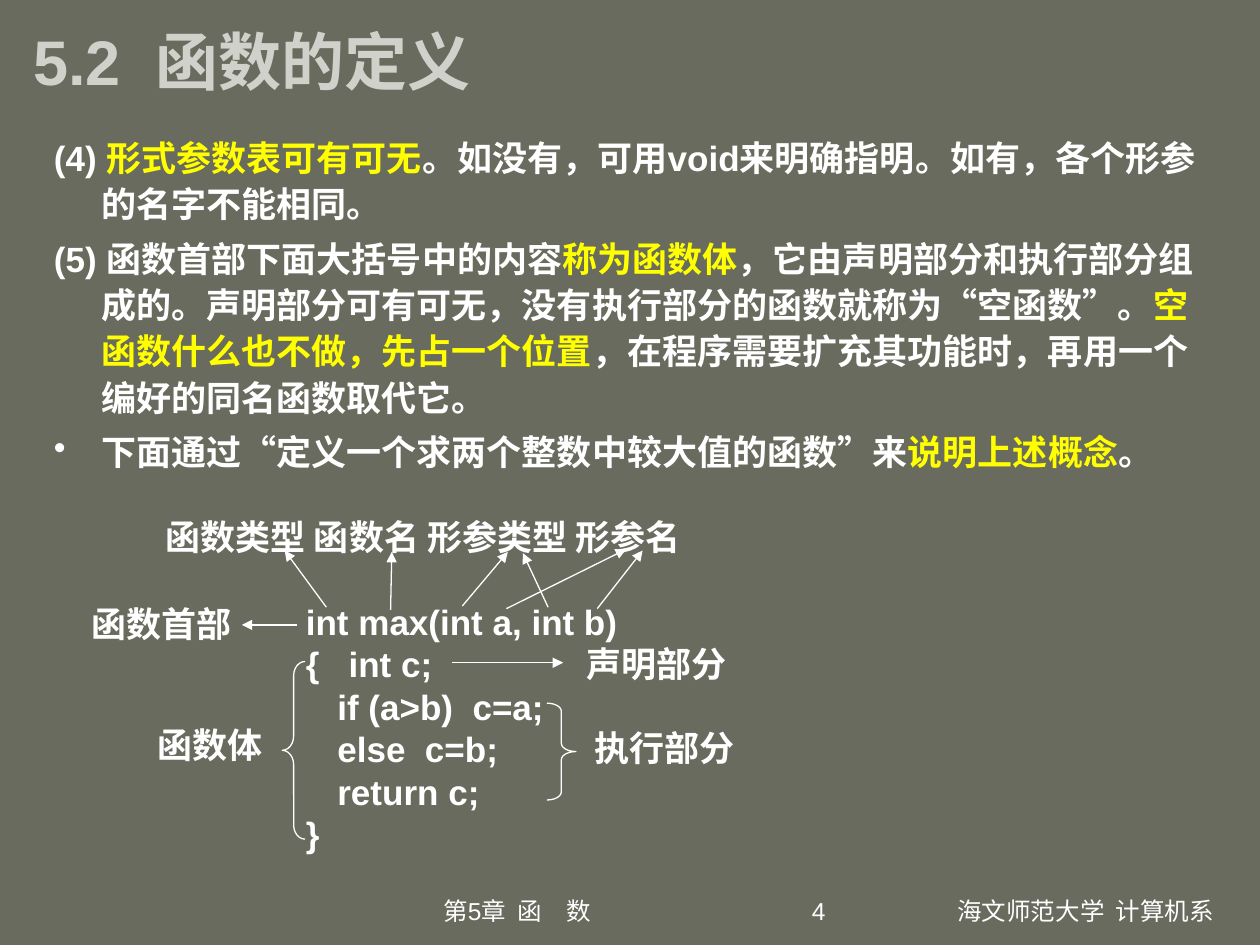
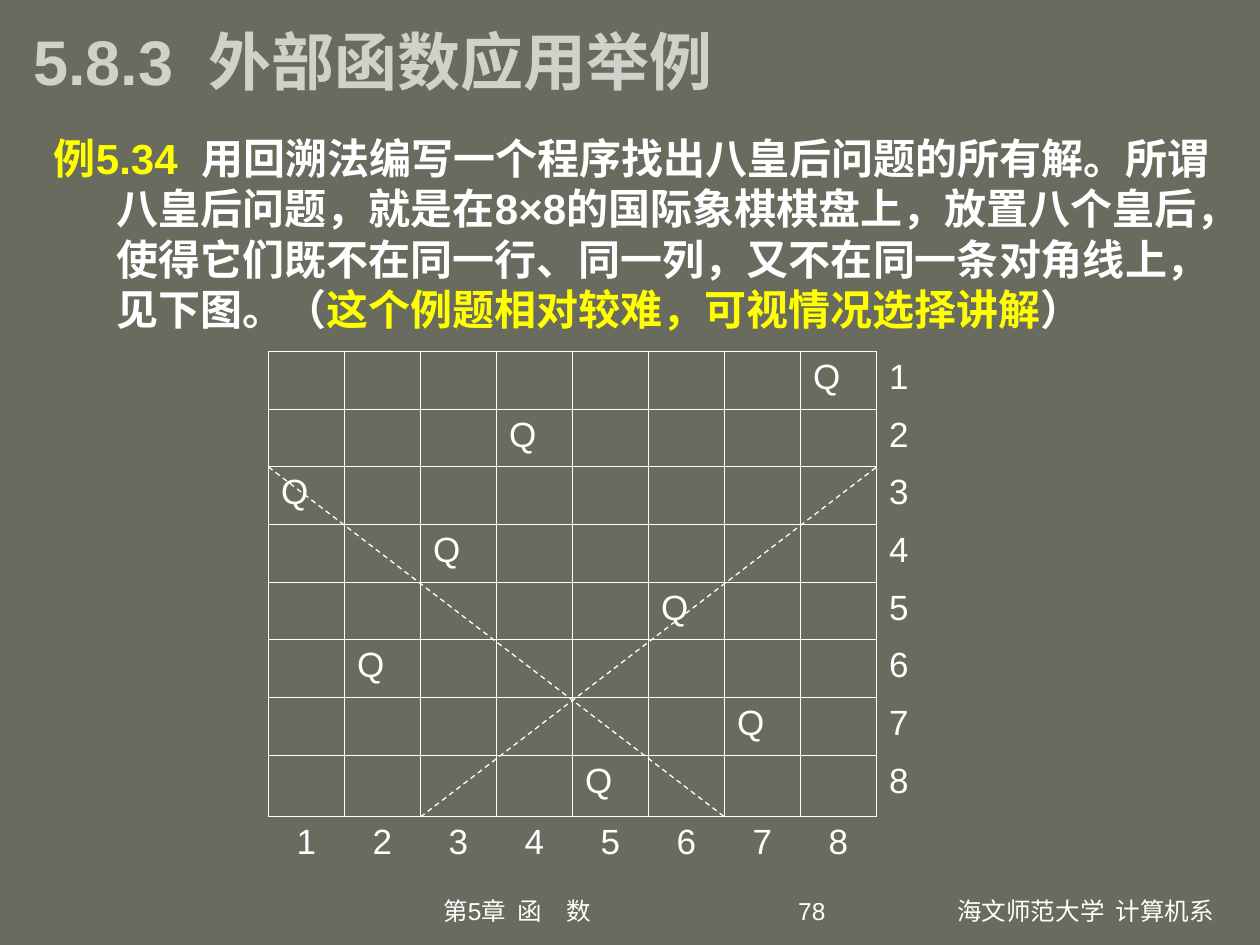
from dataclasses import dataclass

from lxml import etree
from pptx import Presentation
from pptx.dml.color import RGBColor
from pptx.enum.dml import MSO_LINE
from pptx.enum.shapes import MSO_CONNECTOR, MSO_SHAPE
from pptx.enum.text import MSO_ANCHOR, PP_ALIGN
from pptx.oxml.ns import qn
from pptx.util import Pt


@dataclass(frozen=True)
class Theme:
    font: str = "Arial"
    background: RGBColor = RGBColor(0x68, 0x6B, 0x5D)
    title: RGBColor = RGBColor(0xD1, 0xD1, 0xCB)
    ink: RGBColor = RGBColor(0xFF, 0xFF, 0xFF)
    accent: RGBColor = RGBColor(0xFF, 0xFF, 0x00)
    title_size: int = 36
    example_size: int = 24
    body_size: int = 20
    footer_size: int = 14
    line: float = 0.75
    grid: float = 0.45


THEME = Theme()
TITLE_BOX = (12, 0, 648, 68.4)
BODY_BOX = (23.76, 72, 678.24, 215)
DIAGRAM_ORIGIN = (45, 295)
BOARD_ORIGIN = (153.4, 200.9)
NO_GRID_STYLE = "{2D5ABB26-0587-4C30-8999-92F81FD0307C}"


def write(frame, paragraphs, size=THEME.body_size, color=THEME.ink, bold=False,
          align=PP_ALIGN.LEFT, spacing=None, after=0, hang=0, margins=None, bullet=False):
    """Fill a text frame; parts between bars take the accent colour."""
    frame.word_wrap = True
    for number, content in enumerate(paragraphs):
        paragraph = frame.paragraphs[0] if number == 0 else frame.add_paragraph()
        paragraph.alignment = align
        paragraph.space_after = Pt(after)
        if spacing:
            paragraph.line_spacing = spacing
        properties = paragraph._p.get_or_add_pPr()
        properties.set("marL", str(Pt(margins[number] if margins else hang)))
        properties.set("indent", str(-Pt(hang)))
        if bullet and number == len(paragraphs) - 1:
            etree.SubElement(properties, qn("a:buChar")).set("char", "•")
        for part, words in enumerate(content.split("|")):
            if words:
                run = paragraph.add_run()
                run.text = words
                run.font.name = THEME.font
                run.font.size = Pt(size)
                run.font.bold = bold
                run.font.color.rgb = THEME.accent if part % 2 else color


def add_text(slide, box, paragraphs, anchor=MSO_ANCHOR.TOP, **text_format):
    frame = slide.shapes.add_textbox(*map(Pt, box)).text_frame
    frame.vertical_anchor = anchor
    write(frame, paragraphs, **text_format)


def add_line(slide, origin, start, end, arrow=False, dashed=False):
    left, top = origin
    line = slide.shapes.add_connector(
        MSO_CONNECTOR.STRAIGHT, Pt(left + start[0]), Pt(top + start[1]),
        Pt(left + end[0]), Pt(top + end[1]))
    line.line.color.rgb = THEME.ink
    line.line.width = Pt(THEME.line)
    if dashed:
        line.line.dash_style = MSO_LINE.DASH
    if arrow:
        etree.SubElement(line.line._get_or_add_ln(), qn("a:tailEnd")).set("type", "triangle")
    etree.SubElement(line._element.spPr, qn("a:effectLst"))


def add_brace(slide, origin, kind, box, curl):
    left, top, width, height = box
    brace = slide.shapes.add_shape(
        kind, Pt(origin[0] + left), Pt(origin[1] + top), Pt(width), Pt(height))
    brace.adjustments[0] = curl
    brace.shadow.inherit = False
    brace.fill.background()
    brace.line.color.rgb = THEME.ink
    brace.line.width = Pt(THEME.line)


def add_base(deck, title, number):
    """Background, title and footers of every slide."""
    slide = deck.slides.add_slide(deck.slide_layouts[6])
    slide.background.fill.solid()
    slide.background.fill.fore_color.rgb = THEME.background
    add_text(slide, TITLE_BOX, [title], MSO_ANCHOR.MIDDLE, size=THEME.title_size,
             color=THEME.title, bold=True)
    footers = [
        (198, 195, "第5章  函　数", PP_ALIGN.CENTER),
        (401, 77.8, number, PP_ALIGN.RIGHT),
        (540, 175, "海文师范大学  计算机系", PP_ALIGN.LEFT),
    ]
    for left, width, words, align in footers:
        add_text(slide, (left, 508.3, width, 25), [words], size=THEME.footer_size,
                 align=align)
    return slide


def add_function_diagram(slide, origin):
    """Annotated source of max()."""
    left, top = origin

    # Source code with the left margin of each line
    code = [
        ("int max(int a, int b)", 0),
        ("{   int c;", 0),
        ("if (a>b)  c=a;", 18),
        ("else  c=b;", 18),
        ("return c;", 18),
        ("}", 0),
    ]
    add_text(slide, (left + 122.7, top + 44.2, 220, 153), [line for line, _ in code],
             bold=True, spacing=Pt(24.3), margins=[margin for _, margin in code])

    # Labels: left edge and vertical centre
    labels = [
        ("函数类型 函数名 形参类型 形参名", 42.7, 11.8),
        ("函数首部", 0.4, 61.4),
        ("函数体", 38, 130.7),
        ("声明部分", 283.2, 84.4),
        ("执行部分", 287.6, 132.4),
    ]
    for words, x, middle in labels:
        width = 20 * len(words) + 20
        add_text(slide, (left + x, top + middle - 16, width, 32), [words],
                 MSO_ANCHOR.MIDDLE, bold=True)

    # Arrows from the code to its labels
    arrows = [
        ((141.5, 52), (117.7, 19.6)),
        ((178.2, 53.5), (178.9, 20.4)),
        ((219.2, 51.3), (245.2, 20.4)),
        ((268.2, 52), (253.8, 21.1)),
        ((244.4, 52.8), (312.8, 18.9)),
        ((296.3, 52.8), (322.2, 19.6)),
        ((125, 62.1), (93.2, 62.1)),
        ((213.5, 83.7), (276.8, 83.7)),
    ]
    for start, end in arrows:
        add_line(slide, origin, start, end, arrow=True)

    # Braces around the body and the executable part
    add_brace(slide, origin, MSO_SHAPE.LEFT_BRACE, (116.3, 83, 13, 101.5), 0.62)
    add_brace(slide, origin, MSO_SHAPE.RIGHT_BRACE, (267.5, 106.8, 16.6, 55.4), 0.28)


def add_grid_borders(cell):
    properties = cell._tc.get_or_add_tcPr()
    for side in ("lnL", "lnR", "lnT", "lnB"):
        border = etree.SubElement(properties, qn(f"a:{side}"))
        border.set("w", str(Pt(THEME.grid)))
        fill = etree.SubElement(border, qn("a:solidFill"))
        etree.SubElement(fill, qn("a:srgbClr")).set("val", str(THEME.ink))


def add_chessboard(slide, origin):
    """Eight queens with row and column numbers."""
    size, column, row, last_row = 8, 43.45, 32.95, 35.3
    queens = [8, 4, 1, 3, 6, 2, 7, 5]
    height = row * (size - 1) + last_row
    frame = slide.shapes.add_table(
        size + 1, size + 1, Pt(origin[0]), Pt(origin[1]),
        Pt(column * (size + 1)), Pt(height + row))
    board = frame.table
    board.first_row = board.horz_banding = False
    board._tbl.tblPr.find(qn("a:tableStyleId")).text = NO_GRID_STYLE
    for index in range(size + 1):
        board.columns[index].width = Pt(column)
        board.rows[index].height = Pt(last_row if index == size - 1 else row)

    # Squares, queens and numbers
    for r in range(size + 1):
        for c in range(size + 1):
            cell = board.cell(r, c)
            if r < size and c < size:
                add_grid_borders(cell)
                words = "Q" if queens[r] == c + 1 else ""
            else:
                words = "" if r == c else str(min(r, c) + 1)
            cell.fill.background()
            write(cell.text_frame, [words],
                  align=PP_ALIGN.CENTER if r == size else PP_ALIGN.LEFT)

    # Diagonals through the queens
    add_line(slide, origin, (0, 2 * row), (6 * column, height), dashed=True)
    add_line(slide, origin, (2 * column, height), (8 * column, 2 * row), dashed=True)


def build_definition_slide(deck):
    slide = add_base(deck, "5.2  函数的定义", "4")
    notes = [
        "(4) |形式参数表可有可无|。如没有，可用void来明确指明。如有，各个形参的名字不能相同。",
        "(5) 函数首部下面大括号中的内容|称为函数体|，它由声明部分和执行部分组成的。"
        "声明部分可有可无，没有执行部分的函数就称为“空函数”。"
        "|空函数什么也不做，先占一个位置|，在程序需要扩充其功能时，再用一个编好的同名函数取代它。",
        "下面通过“定义一个求两个整数中较大值的函数”来|说明上述概念|。",
    ]
    add_text(slide, BODY_BOX, notes, bold=True, spacing=1.1, after=5, hang=27, bullet=True)
    add_function_diagram(slide, DIAGRAM_ORIGIN)


def build_queens_slide(deck):
    slide = add_base(deck, "5.8.3  外部函数应用举例", "78")
    problem = (
        "|例5.34  |用回溯法编写一个程序找出八皇后问题的所有解。"
        "所谓八皇后问题，就是在8×8的国际象棋棋盘上，放置八个皇后，"
        "使得它们既不在同一行、同一列，又不在同一条对角线上，见下图。"
        "（|这个例题相对较难，可视情况选择讲解|）")
    add_text(slide, BODY_BOX, [problem], size=THEME.example_size, bold=True, hang=36)
    add_chessboard(slide, BOARD_ORIGIN)


def main():
    deck = Presentation()
    deck.slide_width, deck.slide_height = Pt(720), Pt(540)
    build_definition_slide(deck)
    build_queens_slide(deck)
    deck.save("out.pptx")


if __name__ == "__main__":
    main()
